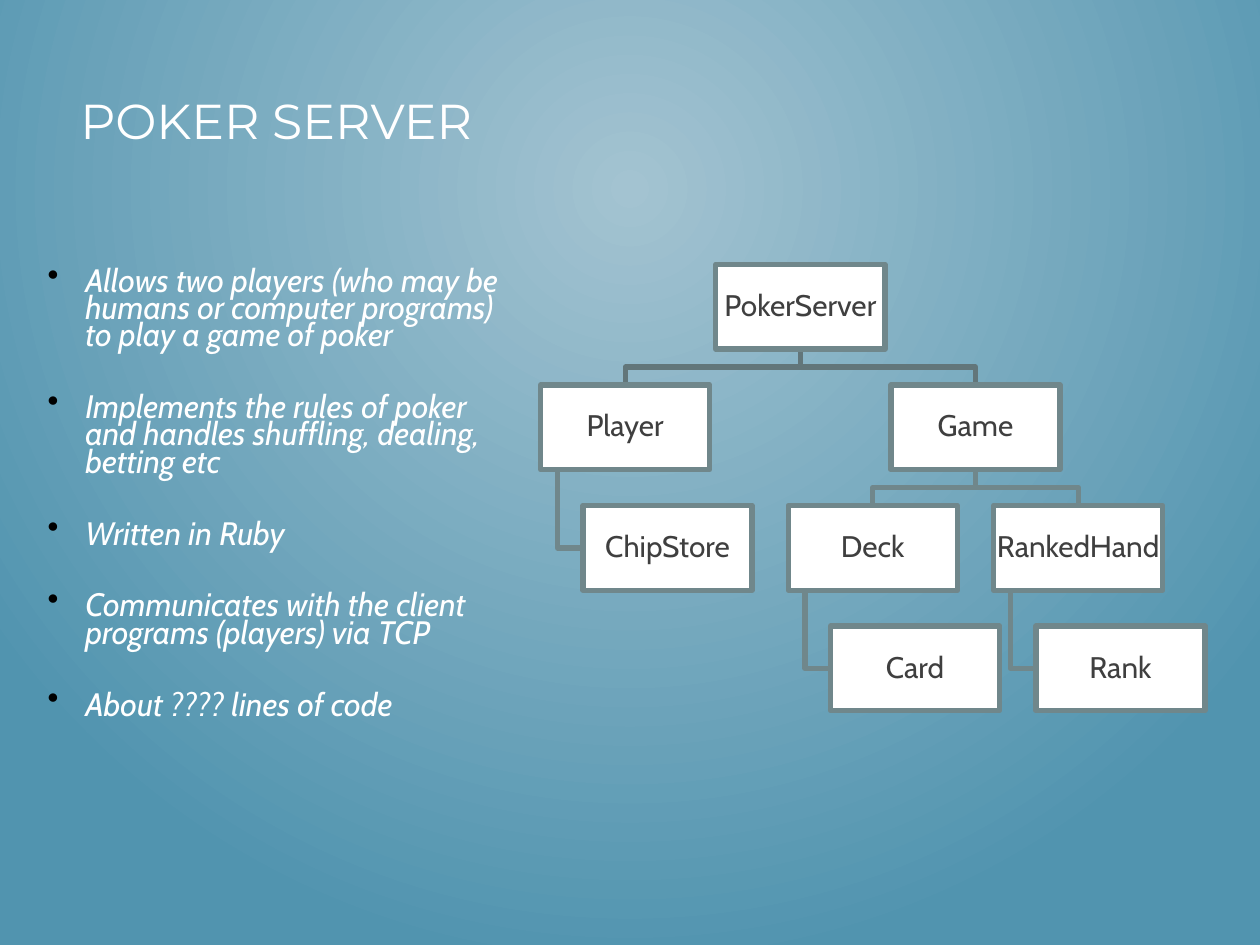
"""Build the poker server slide with its bullet list and class tree."""
from dataclasses import dataclass

from lxml import etree
from pptx import Presentation
from pptx.dml.color import RGBColor
from pptx.enum.shapes import MSO_SHAPE
from pptx.enum.text import MSO_ANCHOR, PP_ALIGN
from pptx.oxml.ns import qn
from pptx.util import Cm, Pt

RECTANGLE = MSO_SHAPE.RECTANGLE
MIDDLE = MSO_ANCHOR.MIDDLE
TOP = MSO_ANCHOR.TOP
CENTER = PP_ALIGN.CENTER


@dataclass(frozen=True)
class Theme:
    glow: str = "A3C3D1"
    edge: str = "5194AF"
    white: str = "FFFFFF"
    bullet: str = "000000"
    box_text: str = "3F3F3F"
    line: str = "70878B"
    root_line: str = "62767A"
    title_font: str = "Montserrat"
    body_font: str = "Cabin"
    title_size: float = 28
    body_size: float = 18.5
    box_size: float = 17
    line_width: float = 3


THEME = Theme()

BULLETS = [
    "Allows two players (who may be humans or computer programs) to play a game of poker",
    "Implements the rules of poker and handles shuffling, dealing, betting etc",
    "Written in Ruby",
    "Communicates with the client programs (players) via TCP",
    "About ???? lines of code",
]

ROOT_LEFT, ROOT_TOP = 14.43, 5.33
BOX_W, BOX_H, ROW_PITCH = 3.41, 1.71, 2.43
INDENT, TRUNK = BOX_W / 4, BOX_W / 10
ROOT_SPREAD, GAME_SPREAD = 3.53, 2.07
ROOT = "PokerServer"
CHILDREN = [
    ("Player", ROOT, -ROOT_SPREAD),
    ("ChipStore", "Player", INDENT),
    ("Game", ROOT, ROOT_SPREAD),
    ("Deck", "Game", -GAME_SPREAD),
    ("Card", "Deck", INDENT),
    ("RankedHand", "Game", GAME_SPREAD),
    ("Rank", "RankedHand", INDENT),
]


def rgb(value):
    return RGBColor.from_string(value)


def set_background(slide):
    fill = slide.background.fill
    fill.gradient()
    for stop, color in zip(fill.gradient_stops, (THEME.glow, THEME.edge)):
        stop.color.rgb = rgb(color)
    lin = next(slide.element.iter(qn("a:lin")))
    grad = lin.getparent()
    shade = etree.Element(qn("a:path"), path="circle")
    etree.SubElement(shade, qn("a:fillToRect"), l="50000", t="20000", r="50000", b="80000")
    grad.replace(lin, shade)


def style_runs(p, font, size, color, italic=False):
    for r in p.runs:
        r.font.name = font
        r.font.size = Pt(size)
        r.font.color.rgb = rgb(color)
        r.font.italic = italic


def add_text_frame(slide, left, top, width, height):
    tf = slide.shapes.add_textbox(Cm(left), Cm(top), Cm(width), Cm(height)).text_frame
    tf.word_wrap = True
    tf.vertical_anchor = TOP
    return tf


def add_title(slide, text):
    tf = add_text_frame(slide, 1.37, 1.7, 10.03, 2.97)
    tf.text = text
    style_runs(tf.paragraphs[0], THEME.title_font, THEME.title_size, THEME.white)


def add_bullet(p):
    pPr = p._p.get_or_add_pPr()
    pPr.set("marL", str(Cm(0.76)))
    pPr.set("indent", str(-Cm(0.76)))
    color = etree.SubElement(pPr, qn("a:buClr"))
    etree.SubElement(color, qn("a:srgbClr"), val=THEME.bullet)
    etree.SubElement(pPr, qn("a:buChar"), char="•")


def add_bullets(slide, items):
    tf = add_text_frame(slide, 0.71, 5.33, 10.11, 12.4)
    for i, item in enumerate(items):
        p = tf.add_paragraph() if i else tf.paragraphs[0]
        p.text = item
        add_bullet(p)
        p.line_spacing = 0.7
        p.space_before = Pt(25.5 if i else 0)
        style_runs(p, THEME.body_font, THEME.body_size, THEME.white, italic=True)


def place_nodes():
    places = {ROOT: (ROOT_LEFT, ROOT_TOP)}
    for name, parent, offset in CHILDREN:
        left, top = places[parent]
        places[name] = (left + offset, top + ROW_PITCH)
    return places


def outline(sp, color):
    sp.shadow.inherit = False
    sp.line.color.rgb = rgb(color)
    sp.line.width = Pt(THEME.line_width)


def add_link(slide, points, color):
    start, *rest = [(Cm(x), Cm(y)) for x, y in points]
    builder = slide.shapes.build_freeform(*start)
    builder.add_line_segments(rest, close=False)
    sp = builder.convert_to_shape()
    sp.fill.background()
    outline(sp, color)


def link_points(parent, child, hangs):
    (px, py), (cx, cy) = parent, child
    bottom = py + BOX_H
    if hangs:
        x, y = px + TRUNK, cy + BOX_H / 2
        return [(x, bottom), (x, y), (cx, y)]
    start, end, bend = px + BOX_W / 2, cx + BOX_W / 2, (bottom + cy) / 2
    return [(start, bottom), (start, bend), (end, bend), (end, cy)]


def add_box(slide, text, left, top):
    sp = slide.shapes.add_shape(RECTANGLE, Cm(left), Cm(top), Cm(BOX_W), Cm(BOX_H))
    sp.fill.solid()
    sp.fill.fore_color.rgb = rgb(THEME.white)
    outline(sp, THEME.line)
    tf = sp.text_frame
    tf.word_wrap = True
    tf.vertical_anchor = MIDDLE
    tf.margin_left = tf.margin_right = tf.margin_top = tf.margin_bottom = Cm(0.03)
    tf.text = text
    p = tf.paragraphs[0]
    p.alignment = CENTER
    p.line_spacing = 0.9
    p.space_after = Pt(7)
    style_runs(p, THEME.body_font, THEME.box_size, THEME.box_text)


def add_tree(slide):
    places = place_nodes()
    for name, parent, offset in reversed(CHILDREN):
        points = link_points(places[parent], places[name], offset == INDENT)
        add_link(slide, points, THEME.root_line if parent == ROOT else THEME.line)
    for name, (left, top) in places.items():
        add_box(slide, name, left, top)


def main():
    prs = Presentation()
    prs.slide_width, prs.slide_height = Cm(25.4), Cm(19.05)
    slide = prs.slides.add_slide(prs.slide_layouts[6])
    set_background(slide)
    add_title(slide, "POKER SERVER")
    add_bullets(slide, BULLETS)
    add_tree(slide)
    prs.save("out.pptx")


if __name__ == "__main__":
    main()
